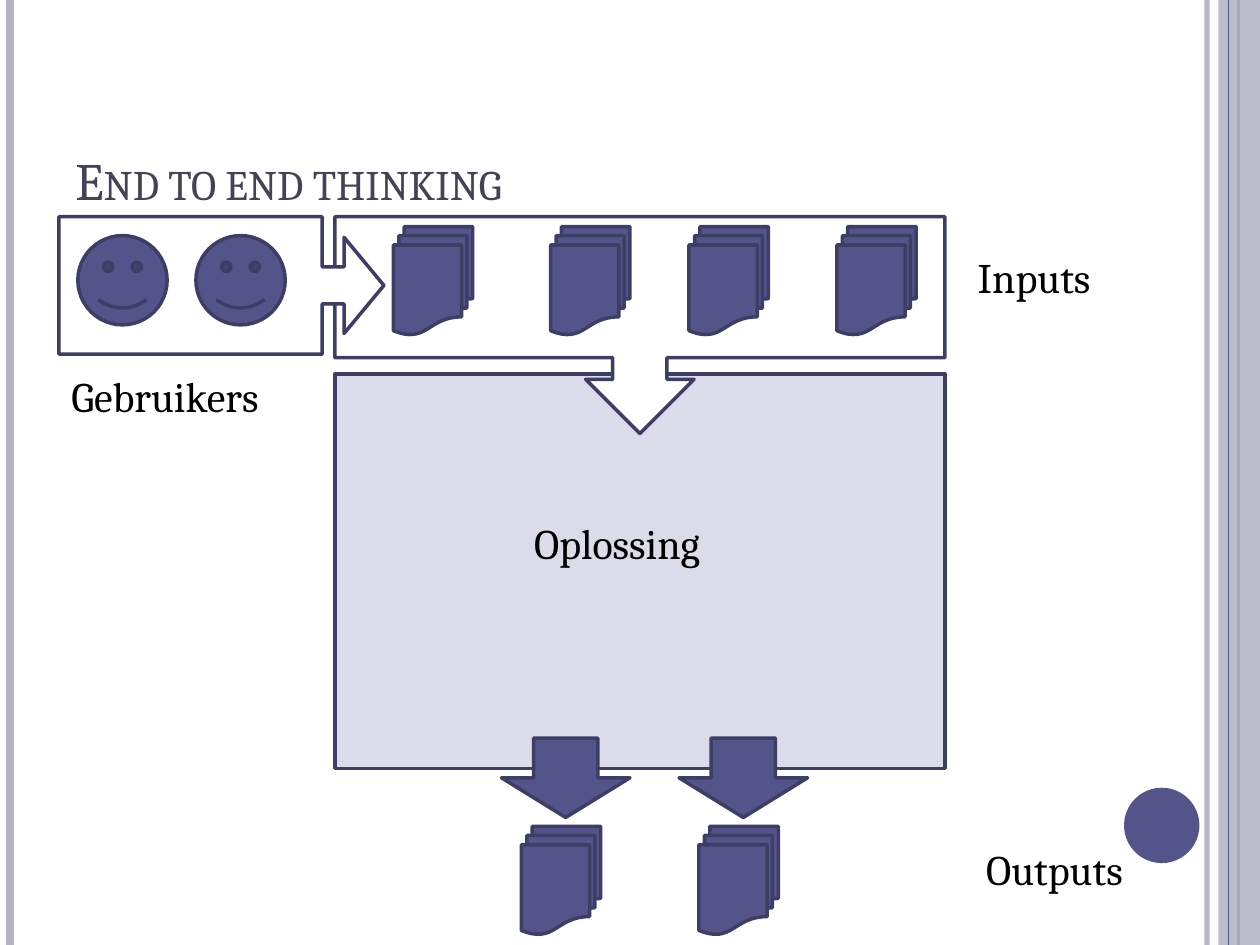
from lxml.etree import SubElement
from pptx import Presentation
from pptx.dml.color import RGBColor
from pptx.enum.shapes import MSO_CONNECTOR, MSO_SHAPE
from pptx.enum.text import MSO_ANCHOR
from pptx.oxml.ns import qn
from pptx.util import Cm, Pt

WIDTH, HEIGHT = 25.4, 19.05
INDIGO, NAVY, GREY = "53548A", "3D3E66", "B3B4C4"
LAVENDER, WHITE, BLACK, SLATE = "DBDBE9", "FFFFFF", "000000", "424456"


def colour(hex_string):
    return RGBColor.from_string(hex_string)


class Diagram:
    """Draws styled elements on the current slide."""

    font = "Cambria"
    outline_width = 2

    def __init__(self, slide):
        self.slide = slide

    def set_alpha(self, fill_parent, percent):
        for element in fill_parent.iter(qn("a:srgbClr")):
            SubElement(element, qn("a:alpha")).set("val", str(percent * 1000))

    def vertical_line(self, x, hex_string, width, alpha=100):
        line = self.slide.shapes.add_connector(
            MSO_CONNECTOR.STRAIGHT, Cm(x), Cm(0), Cm(x), Cm(HEIGHT))
        line.line.color.rgb = colour(hex_string)
        line.line.width = Pt(width)
        properties = line._element.spPr
        if alpha < 100:
            self.set_alpha(properties, alpha)
        SubElement(properties, qn("a:effectLst"))

    def shape(self, kind, left, top, width, height, fill=INDIGO,
              outline=NAVY, alpha=100, adjustments=()):
        shape = self.slide.shapes.add_shape(
            kind, Cm(left), Cm(top), Cm(width), Cm(height))
        shape.shadow.inherit = False
        shape.fill.solid()
        shape.fill.fore_color.rgb = colour(fill)
        if alpha < 100:
            self.set_alpha(shape._element.spPr, alpha)
        if outline:
            shape.line.color.rgb = colour(outline)
            shape.line.width = Pt(self.outline_width)
        else:
            shape.line.fill.background()
        for index, value in enumerate(adjustments):
            shape.adjustments[index] = value

    def documents(self, left, top):
        self.shape(MSO_SHAPE.FLOWCHART_MULTIDOCUMENT, left, top, 1.6, 2.18)

    def text(self, words, left, top, width, height=1.27, size=24,
             hex_string=BLACK, anchor=MSO_ANCHOR.TOP, small_caps=False):
        box = self.slide.shapes.add_textbox(
            Cm(left), Cm(top), Cm(width), Cm(height))
        frame = box.text_frame
        frame.text = words
        frame.word_wrap = True
        frame.vertical_anchor = anchor
        run = frame.paragraphs[0].runs[0]
        run.font.name = self.font
        run.font.size = Pt(size)
        run.font.color.rgb = colour(hex_string)
        if small_caps:
            run._r.get_or_add_rPr().set("cap", "small")


def main():
    presentation = Presentation()
    presentation.slide_width = Cm(WIDTH)
    presentation.slide_height = Cm(HEIGHT)
    diagram = Diagram(presentation.slides.add_slide(presentation.slide_layouts[6]))

    diagram.vertical_line(24.33, GREY, 3, alpha=93)
    diagram.vertical_line(0.2, GREY, 4.5)
    diagram.vertical_line(24.97, INDIGO, 1.5)
    diagram.shape(MSO_SHAPE.RECTANGLE, 24.56, 0, 0.84, HEIGHT,
                  fill=GREY, outline=None, alpha=87)
    diagram.vertical_line(24.77, INDIGO, 0.75)
    diagram.shape(MSO_SHAPE.OVAL, 22.66, 15.88, 1.52, 1.52, outline=None)

    diagram.shape(MSO_SHAPE.RECTANGLE, 6.75, 7.54, 12.3, 7.95, fill=LAVENDER)
    diagram.shape(MSO_SHAPE.DOWN_ARROW_CALLOUT, 6.75, 4.37, 12.3, 4.37, fill=WHITE)
    diagram.text("End to end thinking", 1.27, 1.19, 20.75, 3.18, size=30,
                 hex_string=SLATE, anchor=MSO_ANCHOR.BOTTOM, small_caps=True)

    for left in (7.93, 11.1, 13.89, 16.87):
        diagram.documents(left, 4.57)
    for left in (10.11, 13.69):
        diagram.documents(left + 0.4, 16.66)
        diagram.shape(MSO_SHAPE.DOWN_ARROW, left, 14.88, 2.59, 1.6)

    diagram.text("Inputs", 19.46, 4.95, 4.17)
    diagram.text("Oplossing", 10.52, 10.31, 4.78)
    diagram.text("Outputs", 19.63, 16.87, 4.17)

    diagram.shape(MSO_SHAPE.RIGHT_ARROW_CALLOUT, 1.19, 4.37, 6.55, 2.77,
                  fill=WHITE, adjustments=(0.27, 0.35, 0.29, 0.81))
    for left in (1.57, 3.95):
        diagram.shape(MSO_SHAPE.SMILEY_FACE, left, 4.75, 1.8, 1.8)
    diagram.text("Gebruikers", 1.19, 7.34, 5.16)

    presentation.save("out.pptx")


if __name__ == "__main__":
    main()
